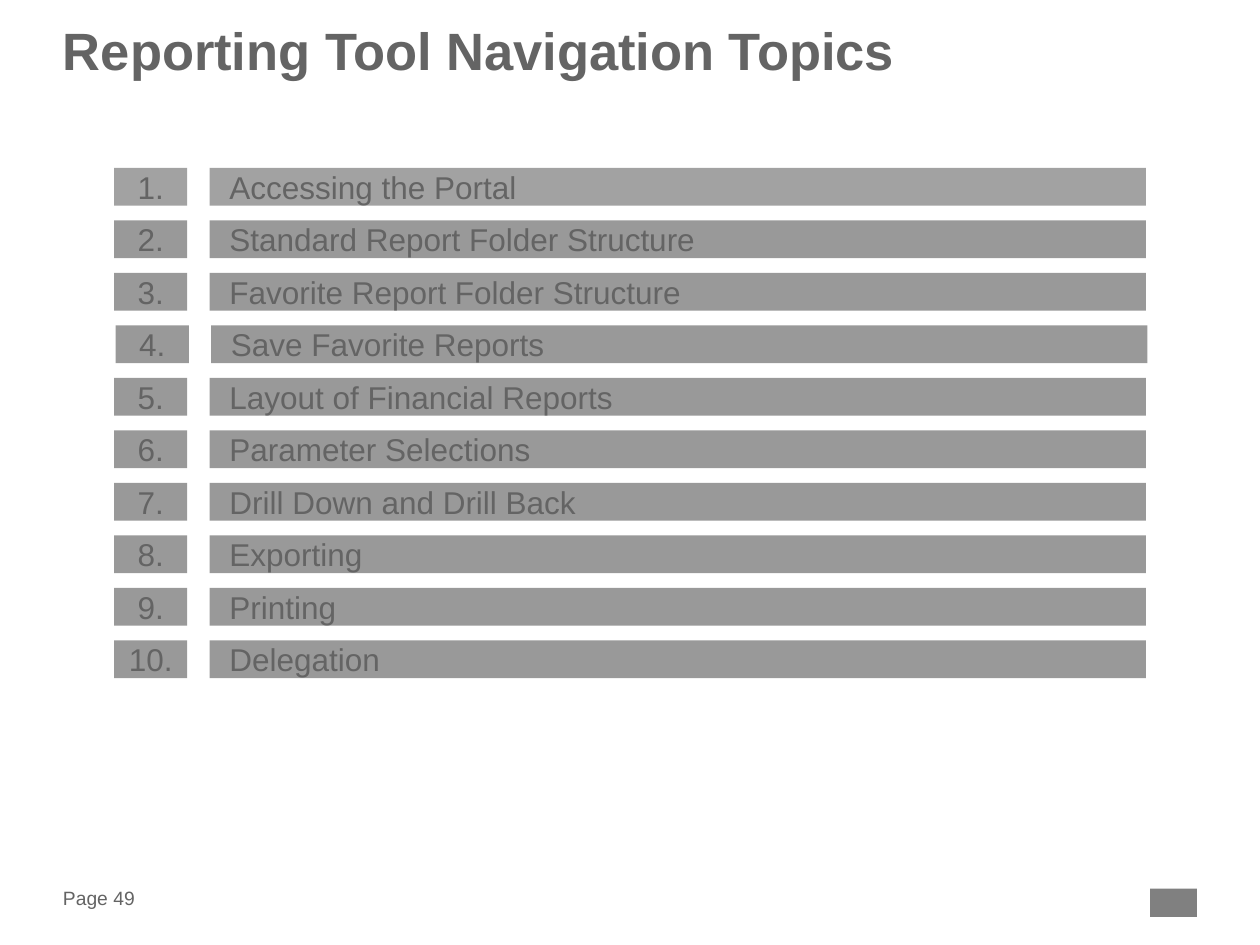
from pptx import Presentation
from pptx.dml.color import RGBColor
from pptx.enum.shapes import MSO_SHAPE
from pptx.enum.text import MSO_ANCHOR, PP_ALIGN
from pptx.util import Pt

RECTANGLE = MSO_SHAPE.RECTANGLE
TOP, MIDDLE = MSO_ANCHOR.TOP, MSO_ANCHOR.MIDDLE
LEFT, CENTER = PP_ALIGN.LEFT, PP_ALIGN.CENTER

COLORS = {"text": "646464", "bar": "999999", "first_bar": "A2A2A2", "mark": "808080"}
TOPICS = [
    "Accessing the Portal",
    "Standard Report Folder Structure",
    "Favorite Report Folder Structure",
    "Save Favorite Reports",
    "Layout of Financial Reports",
    "Parameter Selections",
    "Drill Down and Drill Back",
    "Exporting",
    "Printing",
    "Delegation",
]
FIRST_TOP, ROW_PITCH, ROW_HEIGHT = 96, 30, 21.6
NUMBER_LEFT, NUMBER_WIDTH = 65.2, 41.8
TOPIC_LEFT, TOPIC_WIDTH = 119.8, 535
SHIFTED_ROW, ROW_SHIFT = 4, 0.9


class TopicSlide:
    font_name = "Arial"

    def __init__(self, presentation):
        self.slide = presentation.slides.add_slide(presentation.slide_layouts[6])

    def set_text(self, shape, text, size, bold=False, align=LEFT, anchor=MIDDLE,
                 inset=(0, 0), line_spacing=1.0):
        frame = shape.text_frame
        side, edge = map(Pt, inset)
        frame_format = {
            "word_wrap": True, "vertical_anchor": anchor,
            "margin_left": side, "margin_right": side,
            "margin_top": edge, "margin_bottom": edge,
        }
        paragraph = frame.paragraphs[0]
        paragraph.text = text
        paragraph_format = {"alignment": align, "line_spacing": line_spacing}
        font = paragraph.runs[0].font
        font_format = {"name": self.font_name, "size": Pt(size), "bold": bold}
        for target, values in (
            (frame, frame_format),
            (paragraph, paragraph_format),
            (font, font_format),
        ):
            for name, value in values.items():
                setattr(target, name, value)
        font.color.rgb = RGBColor.from_string(COLORS["text"])

    def text_box(self, box, text, size, **style):
        shape = self.slide.shapes.add_textbox(*map(Pt, box))
        self.set_text(shape, text, size, **style)

    def rectangle(self, box, color):
        shape = self.slide.shapes.add_shape(RECTANGLE, *map(Pt, box))
        shape.shadow.inherit = False
        shape.fill.solid()
        shape.fill.fore_color.rgb = RGBColor.from_string(COLORS[color])
        shape.line.fill.background()
        return shape

    def topic_row(self, number, topic):
        top = FIRST_TOP + (number - 1) * ROW_PITCH
        shift = ROW_SHIFT if number == SHIFTED_ROW else 0
        color = "first_bar" if number == 1 else "bar"
        for left, width, text, align, side in (
            (NUMBER_LEFT, NUMBER_WIDTH, f"{number}.", CENTER, 6.5),
            (TOPIC_LEFT, TOPIC_WIDTH, topic, LEFT, 11.3),
        ):
            shape = self.rectangle((left + shift, top, width, ROW_HEIGHT), color)
            self.set_text(shape, text, 18, align=align, inset=(side, 3.2))


def main():
    presentation = Presentation()
    presentation.slide_width = Pt(720)
    presentation.slide_height = Pt(540)
    page = TopicSlide(presentation)
    page.text_box((36, 504.8, 56.8, 16), "Page 49", 11)
    page.rectangle((657.2, 507.8, 26.8, 16.2), "mark")
    page.text_box((36, 15.8, 648, 67.5), "Reporting Tool Navigation Topics", 30,
                  bold=True, anchor=TOP, line_spacing=0.85)
    for number, topic in enumerate(TOPICS, 1):
        page.topic_row(number, topic)
    presentation.save("out.pptx")


if __name__ == "__main__":
    main()
